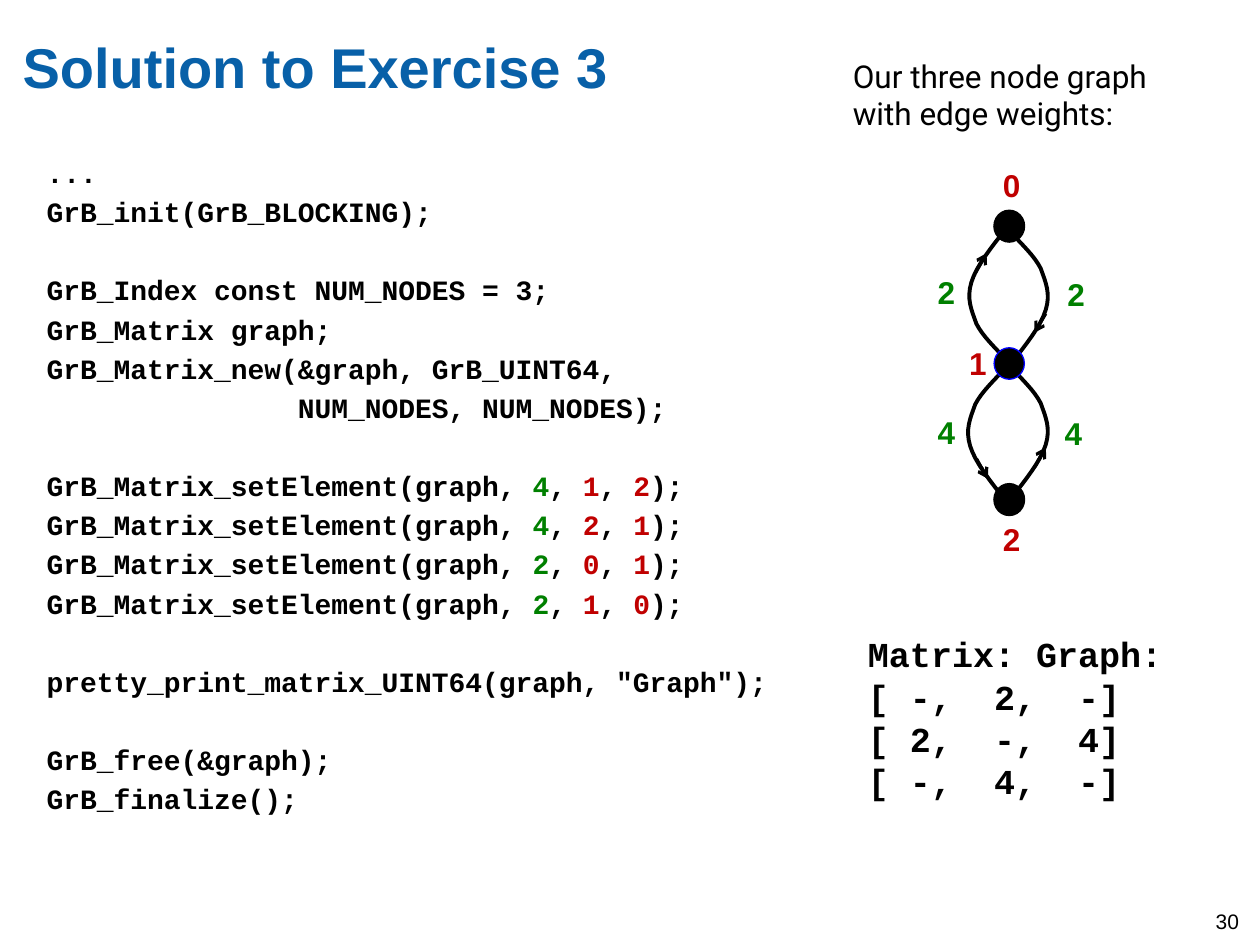
import pptx
import pptx.util
import pptx.dml.color
import pptx.enum.shapes
import pptx.enum.text
import pptx.oxml.ns
from lxml import etree
from pptx.util import Inches

RGB = pptx.dml.color.RGBColor
BLACK = RGB(0x00, 0x00, 0x00)
TITLE = RGB(0x08, 0x60, 0xA8)
GREEN = RGB(0x00, 0x80, 0x00)
RED = RGB(0xC0, 0x00, 0x00)
BLUE = RGB(0x00, 0x00, 0xFF)
LEFT = pptx.enum.text.PP_ALIGN.LEFT
CENTER = pptx.enum.text.PP_ALIGN.CENTER
TOP = pptx.enum.text.MSO_ANCHOR.TOP
LINE = pptx.enum.shapes.MSO_CONNECTOR.STRAIGHT
OVAL = pptx.enum.shapes.MSO_SHAPE.OVAL

FLUSH = {"margin_left": 0, "margin_top": 0, "margin_right": 0, "margin_bottom": 0}
CODE = {"name": "Courier New", "bold": True}

# Code blocks, parted by one empty line each
CELLS = [(4, 1, 2), (4, 2, 1), (2, 0, 1), (2, 1, 0)]
BLOCKS = [
    ["...", "GrB_init(GrB_BLOCKING);"],
    ["GrB_Index const NUM_NODES = 3;", "GrB_Matrix graph;",
     "GrB_Matrix_new(&graph, GrB_UINT64,",
     "               NUM_NODES, NUM_NODES);"],
    CELLS,
    ['pretty_print_matrix_UINT64(graph, "Graph");'],
    ["GrB_free(&graph);", "GrB_finalize();"],
]

# Graph parts, measured from the graph's top left corner
NODES = [(0.40, BLACK, 1), (1.49, BLUE, 0.75), (2.57, BLACK, 1)]
LABELS = [("0", RED, 0.52, 0), ("1", RED, 0.25, 1.41), ("2", RED, 0.52, 2.81),
          ("2", GREEN, 0, 0.85), ("2", GREEN, 1.03, 0.86),
          ("4", GREEN, 0, 1.96), ("4", GREEN, 1.01, 1.97)]
# Start of each arc, its x and y direction, and its arrow
ARCS = [((0.65, 1.59), -1, -1, (0.40, 0.90, 0.49, 0.74)),
        ((0.68, 0.57), 1, 1, (0.96, 1.22, 0.87, 1.37)),
        ((0.64, 1.65), -1, 1, (0.41, 2.37, 0.50, 2.53)),
        ((0.68, 1.64), 1, 1, (0.87, 2.44, 0.96, 2.28))]
BEND = [(0, 0), (0.09, 0.10), (0.19, 0.19), (0.24, 0.29), (0.28, 0.40),
        (0.32, 0.49), (0.28, 0.62), (0.24, 0.75), (0.12, 0.90), (0, 1.05)]


def style(item, vals):
    for key, val in vals.items():
        setattr(item, key, val)


def write(para, text, size, color=BLACK, **font):
    run = para.add_run()
    run.text = text
    style(run.font, {"size": pptx.util.Pt(size), **font})
    run.font.color.rgb = color


def add_box(shapes, box, **frame):
    text = shapes.add_textbox(*map(Inches, box)).text_frame
    style(text, {"word_wrap": True, **frame})
    return text


def stroke(shape, width, color=BLACK):
    shape.line.color.rgb = color
    shape.line.width = pptx.util.Pt(width)


def add_title(slide, box):
    title = slide.shapes.title
    style(title, dict(zip(("left", "top", "width", "height"), map(Inches, box))))
    style(title.text_frame, {**FLUSH, "margin_top": Inches(0.05),
                             "vertical_anchor": TOP, "word_wrap": True})
    para = title.text_frame.paragraphs[0]
    para.alignment = LEFT
    write(para, "Solution to Exercise 3", 32, TITLE, name="Arial", bold=True)


def add_note(slide, box, text, size, name):
    write(add_box(slide.shapes, box).paragraphs[0], text, size, name=name)


def add_lines(frame, lines, size, pitch, gaps=()):
    """Write code lines; a line whose index is in gaps gets an empty line above."""
    for num, line in enumerate(lines):
        para = frame.add_paragraph() if num else frame.paragraphs[0]
        para.line_spacing = pptx.util.Pt(pitch)
        para.space_before = pptx.util.Pt(pitch if num in gaps else 0)
        if isinstance(line, str):
            write(para, line, size, **CODE)
            continue
        write(para, "GrB_Matrix_setElement(graph, ", size, **CODE)
        for value, color, tail in zip(line, (GREEN, RED, RED), (", ", ", ", ");")):
            write(para, str(value), size, color, **CODE)
            write(para, tail, size, **CODE)


def add_code(slide, box):
    lines, gaps = [], []
    for block in BLOCKS:
        gaps.append(len(lines))
        lines += block
    add_lines(add_box(slide.shapes, box, **FLUSH), lines, 16, 22.36, gaps[1:])


def add_matrix(slide, box):
    lines = ["Matrix: Graph:", "[ -,  2,  -]", "[ 2,  -,  4]", "[ -,  4,  -]"]
    add_lines(add_box(slide.shapes, box), lines, 20, 24.2)


def trace(steps=8):
    """Points along the three Bezier pieces of BEND."""
    points = []
    for first in (0, 3, 6):
        piece = BEND[first:first + 4]
        for step in range(1, steps + 1):
            t = step / steps
            parts = ((1 - t) ** 3, 3 * t * (1 - t) ** 2, 3 * t * t * (1 - t), t ** 3)
            points.append([sum(w * p[axis] for w, p in zip(parts, piece))
                           for axis in (0, 1)])
    return points


def add_arrow(shapes, ends):
    arrow = shapes.add_connector(LINE, *map(Inches, ends))
    stroke(arrow, 1.75)
    qn = pptx.oxml.ns.qn
    etree.SubElement(arrow.line._get_or_add_ln(), qn("a:tailEnd"), type="arrow")
    etree.SubElement(arrow._element.spPr, qn("a:effectLst"))


def add_graph(slide, left, top):
    shapes = slide.shapes.add_group_shape().shapes
    # Edges
    for (x, y), way_x, way_y, (x1, y1, x2, y2) in ARCS:
        x, y = left + x, top + y
        path = shapes.build_freeform(Inches(x), Inches(y))
        path.add_line_segments([(Inches(x + way_x * dx), Inches(y + way_y * dy))
                                for dx, dy in trace()], close=False)
        arc = path.convert_to_shape()
        arc.shadow.inherit = False
        arc.fill.background()
        stroke(arc, 2.25)
        add_arrow(shapes, (left + x1, top + y1, left + x2, top + y2))
    # Nodes
    for y, color, width in NODES:
        node = shapes.add_shape(OVAL, *map(Inches, (left + 0.55, top + y, 0.24, 0.25)))
        node.shadow.inherit = False
        node.fill.solid()
        node.fill.fore_color.rgb = BLACK
        stroke(node, width, color)
    # Node numbers and edge weights
    for text, color, x, y in LABELS:
        frame = add_box(shapes, (left + x, top + y, 0.34, 0.4), word_wrap=False)
        frame.paragraphs[0].alignment = CENTER
        write(frame.paragraphs[0], text, 18, color, name="Arial", bold=True)


def main():
    deck = pptx.Presentation()
    style(deck, {"slide_width": Inches(10), "slide_height": Inches(7.5)})
    slide = deck.slides.add_slide(deck.slide_layouts[5])
    add_title(slide, (0.18, 0.21, 9.01, 0.97))
    add_note(slide, (9.55, 7.16, 0.45, 0.33), "30", 12, "Arial")
    add_code(slide, (0.37, 1.19, 9.01, 5.09))
    add_matrix(slide, (6.79, 4.97, 2.75, 1.45))
    add_graph(slide, 7.34, 1.27)
    add_note(slide, (6.67, 0.4, 2.71, 0.71),
             "Our three node graph with edge weights:", 18, "Roboto")
    deck.save("out.pptx")


if __name__ == "__main__":
    main()
